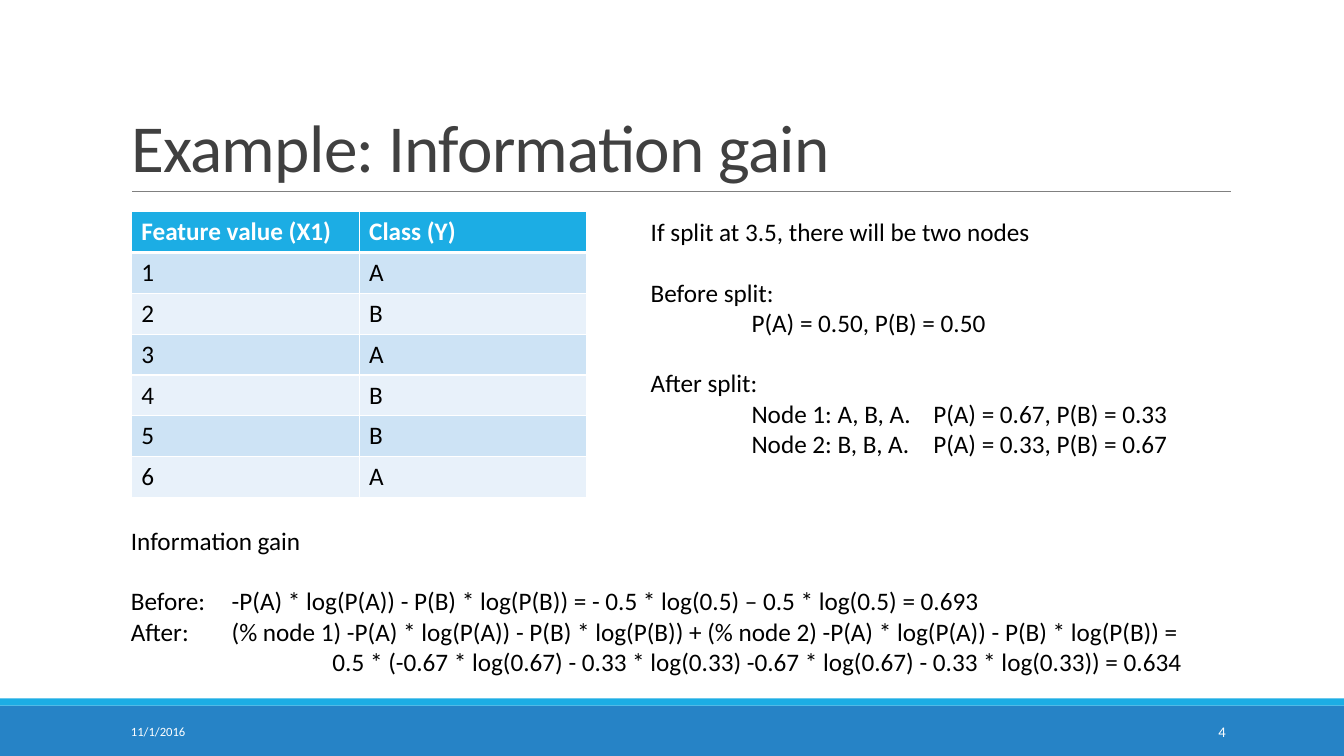
from dataclasses import dataclass

import pptx
import pptx.dml.color
import pptx.enum.shapes
import pptx.enum.text
import pptx.oxml
import pptx.oxml.ns
import pptx.oxml.xmlchemy
import pptx.util
from lxml import etree

Cm, Pt = pptx.util.Cm, pptx.util.Pt
ALIGN = pptx.enum.text.PP_ALIGN
ANCHOR = pptx.enum.text.MSO_ANCHOR
qn = pptx.oxml.ns.qn


@dataclass(frozen=True)
class Theme:
    font: str = "Calibri"
    title_size: float = 48
    body_size: float = 18
    date_size: float = 9
    number_size: float = 10.5
    title: str = "404040"
    ink: str = "000000"
    white: str = "FFFFFF"
    rule: str = "808080"
    accent: str = "1CADE4"
    footer: str = "2683C6"
    bands: tuple[str, str] = ("CDE3F5", "E8F1FA")


@dataclass(frozen=True)
class Box:
    left: float
    top: float
    width: float
    height: float

    def lengths(self) -> tuple:
        return Cm(self.left), Cm(self.top), Cm(self.width), Cm(self.height)


@dataclass(frozen=True)
class Line:
    text: str
    gap_before: float = 0


@dataclass(frozen=True)
class Note:
    box: Box
    lines: tuple[Line, ...]
    size: float = Theme.body_size
    color: str = Theme.ink
    align: ALIGN = ALIGN.LEFT
    anchor: ANCHOR = ANCHOR.TOP
    tabs: tuple[float, ...] = ()


@dataclass(frozen=True)
class Band:
    box: Box
    color: str


THEME = Theme()
SLIDE_WIDTH, SLIDE_HEIGHT = 33.87, 19.05
MARGIN = 3.05
SECTION_GAP = 21.6

TITLE_BOX = Box(MARGIN, 0.79, 27.94, 4.04)
RULE_START, RULE_END, RULE_TOP = 3.33, 31.01, 4.83
TABLE_LEFT, TABLE_TOP, COLUMN_WIDTH, ROW_HEIGHT = 3.31, 5.33, 5.74, 1.03

FOOTER_BANDS = (
    Band(Box(0, 17.78, SLIDE_WIDTH, 1.27), THEME.footer),
    Band(Box(0, 17.6, SLIDE_WIDTH, 0.18), THEME.accent),
)

SAMPLES = (
    ("Feature value (X1)", "Class (Y)"),
    *((str(value), label) for value, label in enumerate("ABABBA", start=1)),
)

NOTES = (
    Note(Box(MARGIN, 17.93, 6.86, 1.02), (Line("11/1/2016"),),
         size=THEME.date_size, color=THEME.white, anchor=ANCHOR.MIDDLE),
    Note(Box(27.51, 17.93, 3.63, 1.02), (Line("4"),), size=THEME.number_size,
         color=THEME.white, align=ALIGN.RIGHT, anchor=ANCHOR.MIDDLE),
    Note(Box(16.15, 5.33, 14.53, 7.95), (
        Line("If split at 3.5, there will be two nodes"),
        Line("Before split:", SECTION_GAP),
        Line("\tP(A) = 0.50, P(B) = 0.50"),
        Line("After split:", SECTION_GAP),
        Line("\tNode 1: A, B, A.\tP(A) = 0.67, P(B) = 0.33"),
        Line("\tNode 2: B, B, A.\tP(A) = 0.33, P(B) = 0.67"),
    ), tabs=(2.54, 7.12)),
    Note(Box(MARGIN, 13.11, 29.67, 4.11), (
        Line("Information gain"),
        Line("Before: \t-P(A) * log(P(A)) - P(B) * log(P(B)) = "
             "- 0.5 * log(0.5) – 0.5 * log(0.5) = 0.693", SECTION_GAP),
        Line("After: \t(% node 1) -P(A) * log(P(A)) - P(B) * log(P(B)) + "
             "(% node 2) -P(A) * log(P(A)) - P(B) * log(P(B)) ="),
        Line("\t\t0.5 * (-0.67 * log(0.67) - 0.33 * log(0.33) "
             "-0.67 * log(0.67) - 0.33 * log(0.33)) = 0.634"),
    ), tabs=(2.54, 5.08)),
)


def rgb(color: str) -> pptx.dml.color.RGBColor:
    return pptx.dml.color.RGBColor.from_string(color)


def write(paragraph, text: str, *, size: float = THEME.body_size,
          color: str = THEME.ink, bold: bool = False, align: ALIGN = ALIGN.LEFT,
          gap_before: float = 0, line_spacing: float = 1.0,
          letter_spacing: float = 0, tabs: tuple[float, ...] = ()) -> None:
    paragraph.alignment = align
    paragraph.space_before = Pt(gap_before)
    paragraph.line_spacing = line_spacing
    if tabs:
        stops = etree.SubElement(paragraph._p.get_or_add_pPr(), qn("a:tabLst"))
        for position in tabs:
            etree.SubElement(stops, qn("a:tab"), pos=str(Cm(position)), algn="l")
    run = paragraph.add_run()
    run.text = text
    run.font.name = THEME.font
    run.font.size = Pt(size)
    run.font.bold = bold
    run.font.color.rgb = rgb(color)
    if letter_spacing:
        run._r.get_or_add_rPr().set("spc", str(round(letter_spacing * 100)))


def draw_band(slide, band: Band) -> None:
    shape = slide.shapes.add_shape(
        pptx.enum.shapes.MSO_SHAPE.RECTANGLE, *band.box.lengths())
    shape.shadow.inherit = False
    shape.fill.solid()
    shape.fill.fore_color.rgb = rgb(band.color)
    shape.line.fill.background()


def draw_title_rule(slide) -> None:
    rule = slide.shapes.add_connector(
        pptx.enum.shapes.MSO_CONNECTOR.STRAIGHT,
        Cm(RULE_START), Cm(RULE_TOP), Cm(RULE_END), Cm(RULE_TOP))
    rule.line.color.rgb = rgb(THEME.rule)
    rule.line.width = Pt(0.5)
    etree.SubElement(rule._element.spPr, qn("a:effectLst"))


def set_title(slide, text: str) -> None:
    title = slide.shapes.title
    title.left, title.top, title.width, title.height = TITLE_BOX.lengths()
    title.text_frame.vertical_anchor = ANCHOR.BOTTOM
    write(title.text_frame.paragraphs[0], text, size=THEME.title_size,
          color=THEME.title, line_spacing=0.85, letter_spacing=-0.5)


def draw_note(slide, note: Note) -> None:
    frame = slide.shapes.add_textbox(*note.box.lengths()).text_frame
    frame.word_wrap = True
    frame.vertical_anchor = note.anchor
    for index, line in enumerate(note.lines):
        paragraph = frame.add_paragraph() if index else frame.paragraphs[0]
        write(paragraph, line.text, size=note.size, color=note.color,
              align=note.align, gap_before=line.gap_before, tabs=note.tabs)


def set_borders(cell, top: float, bottom: float) -> None:
    """Draw white cell borders; call before the fill, which must follow them."""
    properties = cell._tc.get_or_add_tcPr()
    for side, width in (("L", 1), ("R", 1), ("T", top), ("B", bottom)):
        border = etree.SubElement(properties, qn(f"a:ln{side}"), w=str(Pt(width)))
        fill = etree.SubElement(border, qn("a:solidFill"))
        etree.SubElement(fill, qn("a:srgbClr"), val=THEME.white)


def draw_samples(slide) -> None:
    rows, columns = len(SAMPLES), len(SAMPLES[0])
    box = Box(TABLE_LEFT, TABLE_TOP, columns * COLUMN_WIDTH, rows * ROW_HEIGHT)
    table = slide.shapes.add_table(rows, columns, *box.lengths()).table
    for row, texts in enumerate(SAMPLES):
        is_header = row == 0
        for column, text in enumerate(texts):
            cell = table.cell(row, column)
            set_borders(cell, top=3 if row == 1 else 1, bottom=3 if is_header else 1)
            cell.fill.solid()
            cell.fill.fore_color.rgb = rgb(
                THEME.accent if is_header else THEME.bands[(row - 1) % 2])
            write(cell.text_frame.paragraphs[0], text, bold=is_header,
                  color=THEME.white if is_header else THEME.ink)


def main() -> None:
    deck = pptx.Presentation()
    deck.slide_width, deck.slide_height = Cm(SLIDE_WIDTH), Cm(SLIDE_HEIGHT)
    slide = deck.slides.add_slide(deck.slide_layouts[5])
    for band in FOOTER_BANDS:
        draw_band(slide, band)
    draw_title_rule(slide)
    set_title(slide, "Example: Information gain")
    draw_samples(slide)
    for note in NOTES:
        draw_note(slide, note)
    deck.save("out.pptx")


if __name__ == "__main__":
    main()
